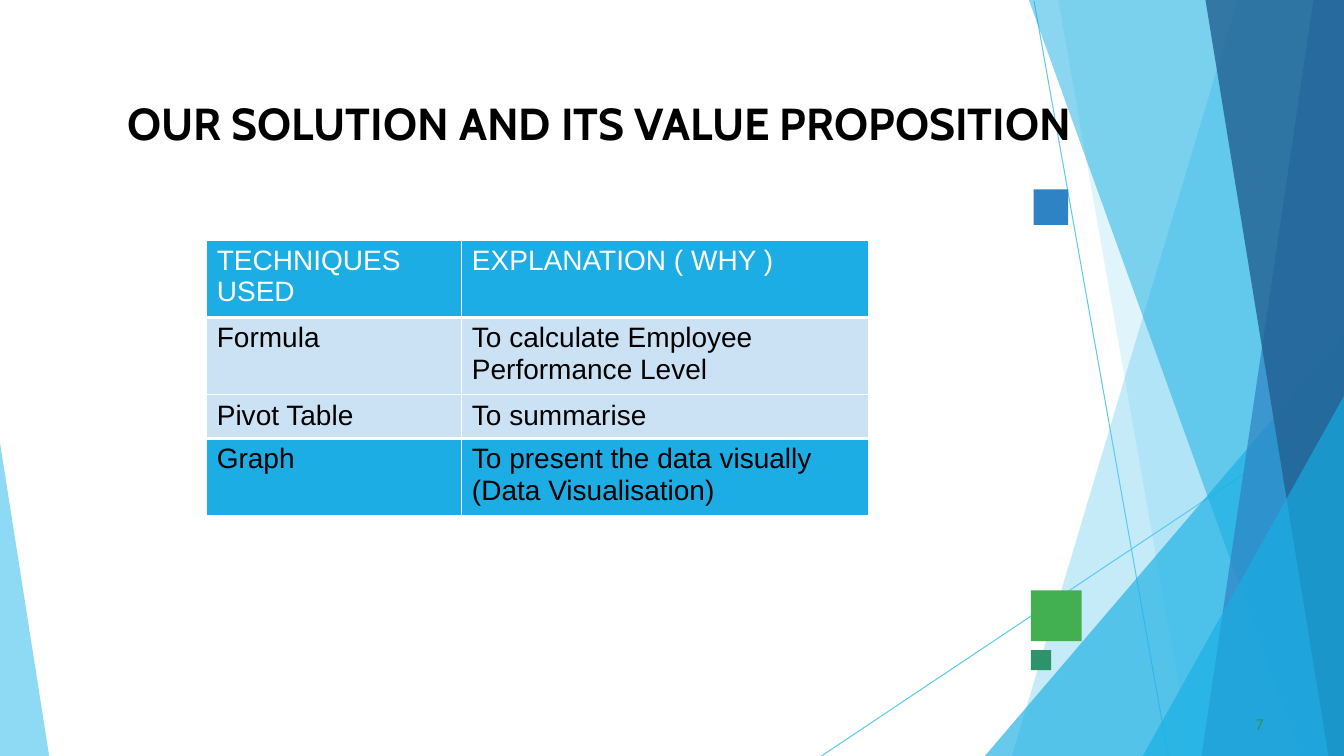
import lxml.etree
import pptx
import pptx.dml.color
import pptx.enum.shapes
import pptx.enum.text
import pptx.oxml
import pptx.oxml.ns
import pptx.util

Cm = pptx.util.Cm
WIDTH, HEIGHT = 33.87, 19.05
WHITE, BLACK, SKY, BRIGHT, PALE = "FFFFFF", "000000", "5FCAEE", "1CADE4", "CBE2F5"

RAYS = [(26.06, 0.03, 29.44, HEIGHT), (WIDTH, 10.26, 20.7, HEIGHT)]

FACETS = [
    (31.19, 0, 25.5, SKY, 36),
    (26.67, 0, 30.02, SKY, 20),
    (WIDTH, 8.46, 24.82, "17AFE3", 65),
    (25.93, 0, 32.79, "17AFE3", 50),
    (33.1, 0, 30.28, "2D83C3", 70),
    (30.38, 0, 33.48, "226192", 80),
    (WIDTH, 9.98, 28.8, "17AFE3", 65),
]

SQUARES = [
    (25.98, 14.88, 1.28, 1.28, "42AF51"),
    (26.05, 4.77, 0.87, 0.9, "2D83C3"),
    (25.98, 16.38, 0.51, 0.51, "2D936B"),
]

TECHNIQUES = [
    (1.93, BRIGHT, WHITE, "TECHNIQUES USED", "EXPLANATION ( WHY )"),
    (1.95, PALE, BLACK, "Formula", "To calculate Employee Performance Level"),
    (1.09, PALE, BLACK, "Pivot Table", "To summarise"),
    (1.95, BRIGHT, BLACK, "Graph", "To present the data visually (Data Visualisation)"),
]


def rgb(value):
    """Turn a hex string into a colour."""
    return pptx.dml.color.RGBColor.from_string(value)


def paint(shape, colour, opacity=100):
    """Fill a shape with a flat colour, without line or shadow."""
    shape.shadow.inherit = False
    shape.line.fill.background()
    shape.fill.solid()
    shape.fill.fore_color.rgb = rgb(colour)
    if opacity < 100:
        tint = shape.fill._xPr.find(".//" + pptx.oxml.ns.qn("a:srgbClr"))
        alpha = lxml.etree.SubElement(tint, pptx.oxml.ns.qn("a:alpha"))
        alpha.set("val", str(opacity * 1000))


def add_polygon(slide, points, colour, opacity):
    """Draw a closed translucent outline through points in centimetres."""
    start, *others = [(Cm(x), Cm(y)) for x, y in points]
    builder = slide.shapes.build_freeform(*start, scale=1.0)
    builder.add_line_segments(others, close=True)
    paint(builder.convert_to_shape(), colour, opacity)


def add_facet(slide, top_x, top_y, bottom_x, colour, opacity):
    """Draw a facet from a slanted left edge to the right side of the slide."""
    corners = [(WIDTH, top_y), (top_x, top_y), (bottom_x, HEIGHT), (WIDTH, HEIGHT)]
    add_polygon(slide, list(dict.fromkeys(corners)), colour, opacity)


def add_ray(slide, *ends):
    """Draw a thin sky-coloured line."""
    ray = slide.shapes.add_connector(
        pptx.enum.shapes.MSO_CONNECTOR.STRAIGHT, *map(Cm, ends))
    ray.line.color.rgb = rgb(SKY)
    ray.line.width = pptx.util.Pt(0.75)
    lxml.etree.SubElement(ray._element.spPr, pptx.oxml.ns.qn("a:effectLst"))


def add_square(slide, left, top, width, height, colour):
    """Draw an accent square."""
    square = slide.shapes.add_shape(
        pptx.enum.shapes.MSO_SHAPE.RECTANGLE, *map(Cm, (left, top, width, height)))
    paint(square, colour)


def write(frame, text, *, size, font, colour, bold=False, align="LEFT"):
    """Write one formatted paragraph in a text frame."""
    frame.word_wrap = True
    paragraph = frame.paragraphs[0]
    paragraph.alignment = getattr(pptx.enum.text.PP_ALIGN, align)
    run = paragraph.add_run()
    run.text = text
    run.font.size = pptx.util.Pt(size)
    run.font.name = font
    run.font.bold = bold
    run.font.color.rgb = rgb(colour)


def add_label(slide, box, text, **style):
    """Place a text box with nearly no insets."""
    frame = slide.shapes.add_textbox(*map(Cm, box)).text_frame
    frame.margin_left = frame.margin_right = frame.margin_bottom = 0
    frame.margin_top = Cm(0.03)
    write(frame, text, **style)


def add_borders(cell, widths):
    """Give a cell white borders, with widths in points by side."""
    properties = cell._tc.get_or_add_tcPr()
    for side in "LRTB":
        properties.append(pptx.oxml.parse_xml(
            f'<a:ln{side} {pptx.oxml.ns.nsdecls("a")} w="{pptx.util.Pt(widths[side])}">'
            f'<a:solidFill><a:srgbClr val="{WHITE}"/></a:solidFill></a:ln{side}>'))


def add_techniques(slide):
    """Build the table of techniques and the reasons for them."""
    columns = (6.43, 10.24)
    heights = [row[0] for row in TECHNIQUES]
    table = slide.shapes.add_table(
        len(TECHNIQUES), len(columns), Cm(5.21), Cm(6.05),
        Cm(sum(columns)), Cm(sum(heights))).table
    for column, width in zip(table.columns, columns):
        column.width = Cm(width)
    last = len(TECHNIQUES) - 1
    for index, (height, fill, colour, *texts) in enumerate(TECHNIQUES):
        table.rows[index].height = Cm(height)
        widths = {"L": 1, "R": 1, "T": 3 if index in (1, last) else 1,
                  "B": 3 if index in (0, last - 1) else 1}
        for cell, text in zip(table.rows[index].cells, texts):
            add_borders(cell, widths)
            cell.fill.solid()
            cell.fill.fore_color.rgb = rgb(fill)
            write(cell.text_frame, text, size=20, font="Arial", colour=colour)


def main():
    """Build and save the slide."""
    deck = pptx.Presentation()
    deck.slide_width, deck.slide_height = Cm(WIDTH), Cm(HEIGHT)
    slide = deck.slides.add_slide(deck.slide_layouts[6])
    for ray in RAYS:
        add_ray(slide, *ray)
    for facet in FACETS:
        add_facet(slide, *facet)
    add_polygon(slide, [(0, 11.15), (0, HEIGHT), (1.24, HEIGHT)], SKY, 70)
    for square in SQUARES:
        add_square(slide, *square)
    add_label(slide, (1.55, 2.39, 27.13, 1.4), "OUR SOLUTION AND ITS VALUE PROPOSITION",
              size=32, font="Cabin", colour=BLACK, bold=True, align="CENTER")
    add_label(slide, (31.65, 17.98, 0.43, 0.53), "7",
              size=11, font="Cabin", colour="2D936B")
    add_techniques(slide)
    deck.save("out.pptx")


if __name__ == "__main__":
    main()
